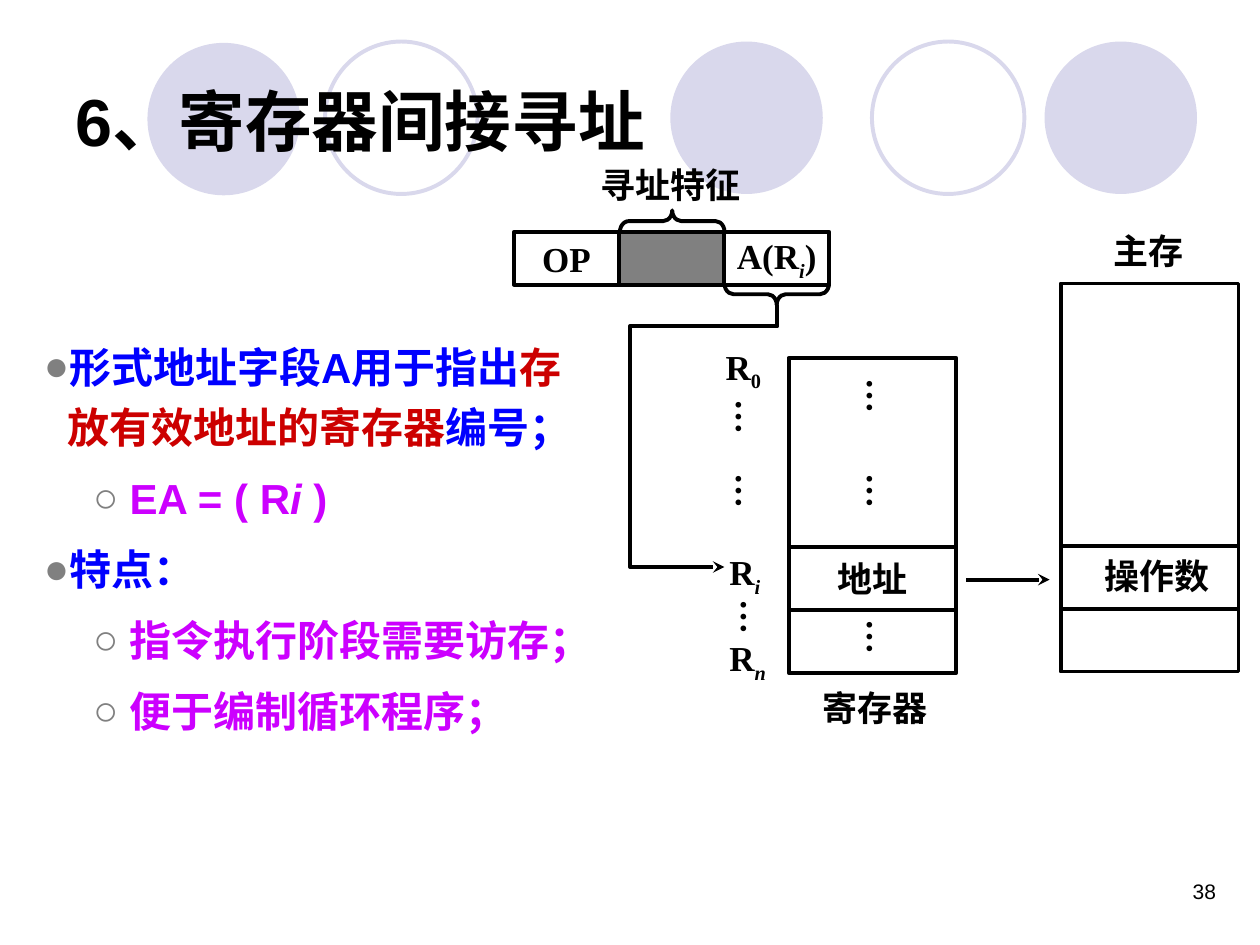
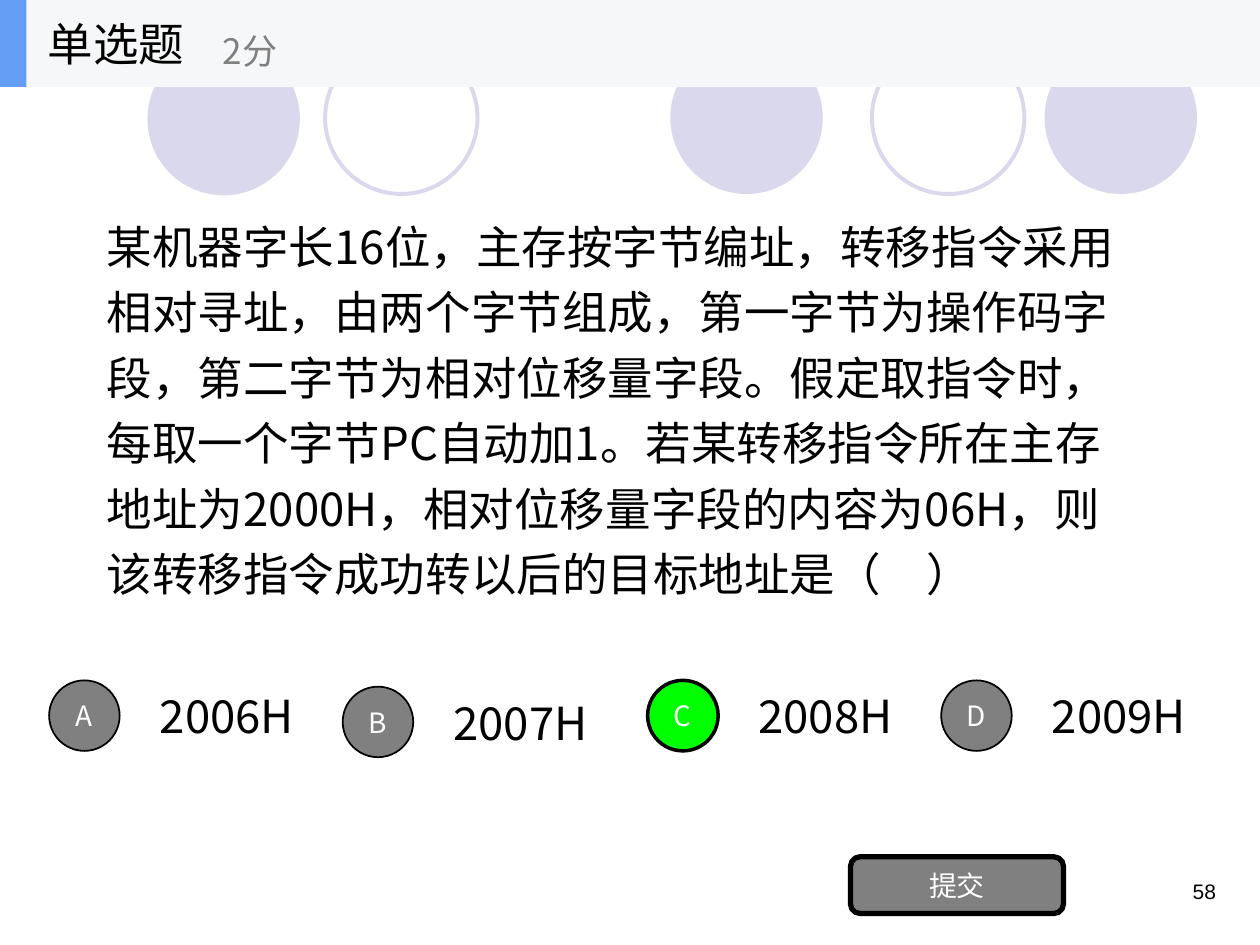
from lxml import etree
from pptx import Presentation
from pptx.dml.color import RGBColor
from pptx.enum import shapes, text
from pptx.oxml.ns import qn
from pptx.util import Inches, Pt

COLORS = {
    "black": "000000", "white": "FFFFFF", "gray": "808080", "lavender": "D9D8EC",
    "blue": "0000FF", "red": "CC0000", "violet": "CC00FF", "green": "00FF00",
    "band": "F6F7F8", "accent": "639EF4",
}
SANS, SERIF, CJK = "Arial", "Times New Roman", "Noto Sans CJK SC"
SHAPE, ALIGN, ANCHOR = shapes.MSO_SHAPE, text.PP_ALIGN, text.MSO_ANCHOR

# Shared decoration: left, top, filled
CIRCLES = [(5.32, 0.33, True), (8.29, 0.33, True), (1.17, 0.34, True),
           (6.92, 0.33, False), (2.58, 0.33, False)]
CIRCLE_SIZE = 1.21

# Slide 1: level, runs of (text, colour, italic)
TITLE = "6、寄存器间接寻址"
POINTS = [
    (0, [("形式地址字段A用于指出", "blue", False),
         ("存放有效地址的寄存器", "red", False), ("编号；", "blue", False)]),
    (1, [("EA = ( R", "violet", False), ("i", "violet", True), (" )", "violet", False)]),
    (0, [("特点：", "blue", False)]),
    (1, [("指令执行阶段需要访存；", "violet", False)]),
    (1, [("便于编制循环程序；", "violet", False)]),
]
BULLETS = [("●", 0.19, 0.19), ("○", 0.68, 0.29)]  # mark, margin, hanging

# Diagram text is a list of (text, subscript, italic)
INSTRUCTION = [
    ([("OP", False, False)], None),
    (None, "gray"),
    ([("A(R", False, False), ("i", True, True), (")", False, False)], None),
]
REGISTER_ROWS = [(1.5, None), (0.5, "地址"), (0.5, None)]
REGISTER_NAMES = [("0", False, 5.66, 2.69), ("i", True, 5.69, 4.32), ("n", True, 5.69, 5)]
NAME_SIZE = (0.65, 0.48)
ELLIPSES = [(6.68, 2.9), (6.68, 3.66), (6.68, 4.82),
            (5.64, 3.07), (5.64, 3.66), (5.68, 4.66)]
ELLIPSIS_SIZE = (0.53, 0.38)
CAPTIONS = [("操作数", 8.67, 4.35), ("主存", 8.74, 1.77),
            ("寻址特征", 4.67, 1.25), ("寄存器", 6.43, 5.4)]
CAPTION_SIZE = (1.33, 0.44)
BRACES = [((5.25, 1.34), 90), ((6.08, 1.92), 270)]
ADDRESS_PATH = [(6.17, 2.42), (6.17, 2.59), (5, 2.59), (5, 4.5), (5.75, 4.5)]

# Slide 2
QUESTION = (
    "某机器字长16位，主存按字节编址，转移指令采用相对寻址，由两个字节组成，"
    "第一字节为操作码字段，第二字节为相对位移量字段。假定取指令时，"
    "每取一个字节PC自动加1。若某转移指令所在主存地址为2000H，"
    "相对位移量字段的内容为06H，则该转移指令成功转以后的目标地址是（　）"
)
# letter, answer, left, top of the circle, correct
OPTIONS = [("A", "2006H", 0.39, 5.4, False), ("B", "2007H", 2.72, 5.45, False),
           ("C", "2008H", 5.14, 5.4, True), ("D", "2009H", 7.47, 5.4, False)]


def rgb(name):
    return RGBColor.from_string(COLORS[name])


def style(r, size, font, color="black", bold=False, italic=False):
    f = r.font
    f.size, f.name, f.bold, f.italic = Pt(size), font, bold, italic
    f.color.rgb = rgb(color)
    etree.SubElement(r._r.get_or_add_rPr(), qn("a:ea")).set("typeface", CJK)


def add_run(p, words, *args, **kwargs):
    r = p.add_run()
    r.text = words
    style(r, *args, **kwargs)
    return r


def outline(sp, color, width):
    sp.line.color.rgb = rgb(color)
    sp.line.width = Pt(width)


def add_shape(s, kind, box, fill=None, line=None, width=2.25):
    sp = s.shapes.add_shape(kind, *map(Inches, box))
    sp.shadow.inherit = False
    if fill:
        sp.fill.solid()
        sp.fill.fore_color.rgb = rgb(fill)
    else:
        sp.fill.background()
    if line:
        outline(sp, line, width)
    else:
        sp.line.fill.background()
    return sp


def add_box(s, box, anchor=ANCHOR.TOP):
    tf = s.shapes.add_textbox(*map(Inches, box)).text_frame
    tf.word_wrap = True
    tf.vertical_anchor = anchor
    return tf


def add_text(s, box, words, size, font, color="black", bold=False, anchor=ANCHOR.MIDDLE):
    tf = add_box(s, box, anchor)
    tf.text = words
    style(tf.paragraphs[0].runs[0], size, font, color, bold)
    return tf


def center_text(sp):
    """Prepare a shape for one centred line and return its paragraph."""
    tf = sp.text_frame
    tf.word_wrap = False
    tf.vertical_anchor = ANCHOR.MIDDLE
    p = tf.paragraphs[0]
    p.alignment = ALIGN.CENTER
    return p


def add_symbols(p, parts):
    """Add diagram runs, lowering the subscripts."""
    for words, subscript, italic in parts:
        r = add_run(p, words, 20, SERIF, bold=True, italic=italic)
        if subscript:
            r._r.get_or_add_rPr().set("baseline", "-25000")


def add_arrowhead(sp):
    etree.SubElement(sp.line._get_or_add_ln(), qn("a:tailEnd")).set("type", "stealth")


def add_line(s, start, end):
    c = s.shapes.add_connector(shapes.MSO_CONNECTOR.STRAIGHT, *map(Inches, start + end))
    outline(c, "black", 2.25)
    etree.SubElement(c._element.spPr, qn("a:effectLst"))
    return c


def set_bullet(p, level):
    mark, margin, hanging = BULLETS[level]
    p.level = level
    pPr = p._p.get_or_add_pPr()
    pPr.set("marL", str(Inches(margin)))
    pPr.set("indent", str(-Inches(hanging)))
    color = etree.SubElement(pPr, qn("a:buClr"))
    etree.SubElement(color, qn("a:srgbClr")).set("val", COLORS["gray"])
    etree.SubElement(pPr, qn("a:buFont")).set("typeface", SANS)
    etree.SubElement(pPr, qn("a:buChar")).set("char", mark)


def new_slide(prs, number):
    s = prs.slides.add_slide(prs.slide_layouts[6])
    for left, top, filled in CIRCLES:
        add_shape(s, SHAPE.OVAL, (left, top, CIRCLE_SIZE, CIRCLE_SIZE),
                  fill="lavender" if filled else None,
                  line=None if filled else "lavender")
    tf = add_text(s, (7.42, 6.92, 2.33, 0.5), number, 12, SANS, anchor=ANCHOR.TOP)
    tf.paragraphs[0].alignment = ALIGN.RIGHT
    return s


def add_points(s):
    tf = add_box(s, (0.25, 2.58, 4.58, 4.33))
    for i, (level, runs) in enumerate(POINTS):
        p = tf.add_paragraph() if i else tf.paragraphs[0]
        p.line_spacing = 1.2
        p.space_before, p.space_after = Pt(3 if i else 0), Pt(3)
        set_bullet(p, level)
        for words, color, italic in runs:
            add_run(p, words, 24, SANS, color, bold=True, italic=italic)


def add_memory(s):
    left, right = 8.42, 9.83
    add_shape(s, SHAPE.RECTANGLE, (left, 2.25, right - left, 3.08), line="black")
    for y in (4.33, 4.83):
        add_line(s, (left, y), (right, y))
    add_arrowhead(add_line(s, (7.67, 4.6), (8.33, 4.6)))


def add_instruction(s):
    width = 2.5 / len(INSTRUCTION)
    for i, (parts, fill) in enumerate(INSTRUCTION):
        sp = add_shape(s, SHAPE.RECTANGLE, (4.08 + i * width, 1.84, width, 0.42),
                       fill, "black")
        if parts:
            add_symbols(center_text(sp), parts)
    for corner, angle in BRACES:
        brace = add_shape(s, SHAPE.LEFT_BRACE, corner + (0.17, 0.83), line="black")
        brace.adjustments[0] = 0.42
        brace.rotation = angle
    start, *corners = [tuple(map(Inches, xy)) for xy in ADDRESS_PATH]
    builder = s.shapes.build_freeform(*start)
    builder.add_line_segments(corners, close=False)
    path = builder.convert_to_shape()
    path.shadow.inherit = False
    path.fill.background()
    outline(path, "black", 2.25)
    add_arrowhead(path)


def add_registers(s):
    top = 2.84
    for height, words in REGISTER_ROWS:
        sp = add_shape(s, SHAPE.RECTANGLE, (6.26, top, 1.33, height), line="black")
        if words:
            add_symbols(center_text(sp), [(words, False, False)])
        top += height
    for corner in ELLIPSES:
        tf = add_text(s, corner + ELLIPSIS_SIZE, "…", 20, SERIF, bold=True,
                      anchor=ANCHOR.TOP)
        tf.word_wrap = False
        tf.margin_left = tf.margin_right = Inches(0.05)
        tf.margin_top = tf.margin_bottom = Inches(0.1)
        tf._txBody.bodyPr.set("vert", "eaVert")
    for index, italic, *corner in REGISTER_NAMES:
        tf = add_box(s, (*corner, *NAME_SIZE))
        add_symbols(tf.paragraphs[0], [("R", False, False), (index, True, italic)])


def addressing_slide(prs):
    s = new_slide(prs, "38")
    add_points(s)
    add_memory(s)
    add_instruction(s)
    add_registers(s)
    for words, *corner in CAPTIONS:
        add_text(s, (*corner, *CAPTION_SIZE), words, 20, SERIF, bold=True,
                 anchor=ANCHOR.TOP)
    add_text(s, (0.5, 0.33, 9, 1.25), TITLE, 38, SANS, bold=True)


def add_button(s, kind, box, words, fill, width):
    sp = add_shape(s, kind, box, fill, "black", width)
    add_run(center_text(sp), words, 16, CJK, "white")


def quiz_slide(prs):
    s = new_slide(prs, "58")
    tf = add_text(s, (0.75, 1.42, 8.42, 3.58), QUESTION, 26, CJK)
    tf.paragraphs[0].line_spacing = 1.2
    for letter, answer, left, top, correct in OPTIONS:
        add_text(s, (left + 0.78, top - 0.07, 1.5, 0.7), answer, 26, CJK)
        add_button(s, SHAPE.OVAL, (left, top, 0.56, 0.56), letter,
                   "green" if correct else "gray", 2 if correct else 1)
    add_button(s, SHAPE.ROUNDED_RECTANGLE, (6.75, 6.8, 1.69, 0.45), "提交", "gray", 3)
    for width, fill in ((10, "band"), (0.21, "accent")):
        add_shape(s, SHAPE.RECTANGLE, (0, 0, width, 0.69), fill)
    add_text(s, (0.28, 0, 2.08, 0.69), "单选题", 26, CJK)
    add_text(s, (1.67, 0.12, 2.5, 0.56), "2分", 20, CJK, "gray")


def main():
    prs = Presentation()
    prs.slide_width, prs.slide_height = Inches(10), Inches(7.5)
    addressing_slide(prs)
    quiz_slide(prs)
    prs.save("out.pptx")


if __name__ == "__main__":
    main()
